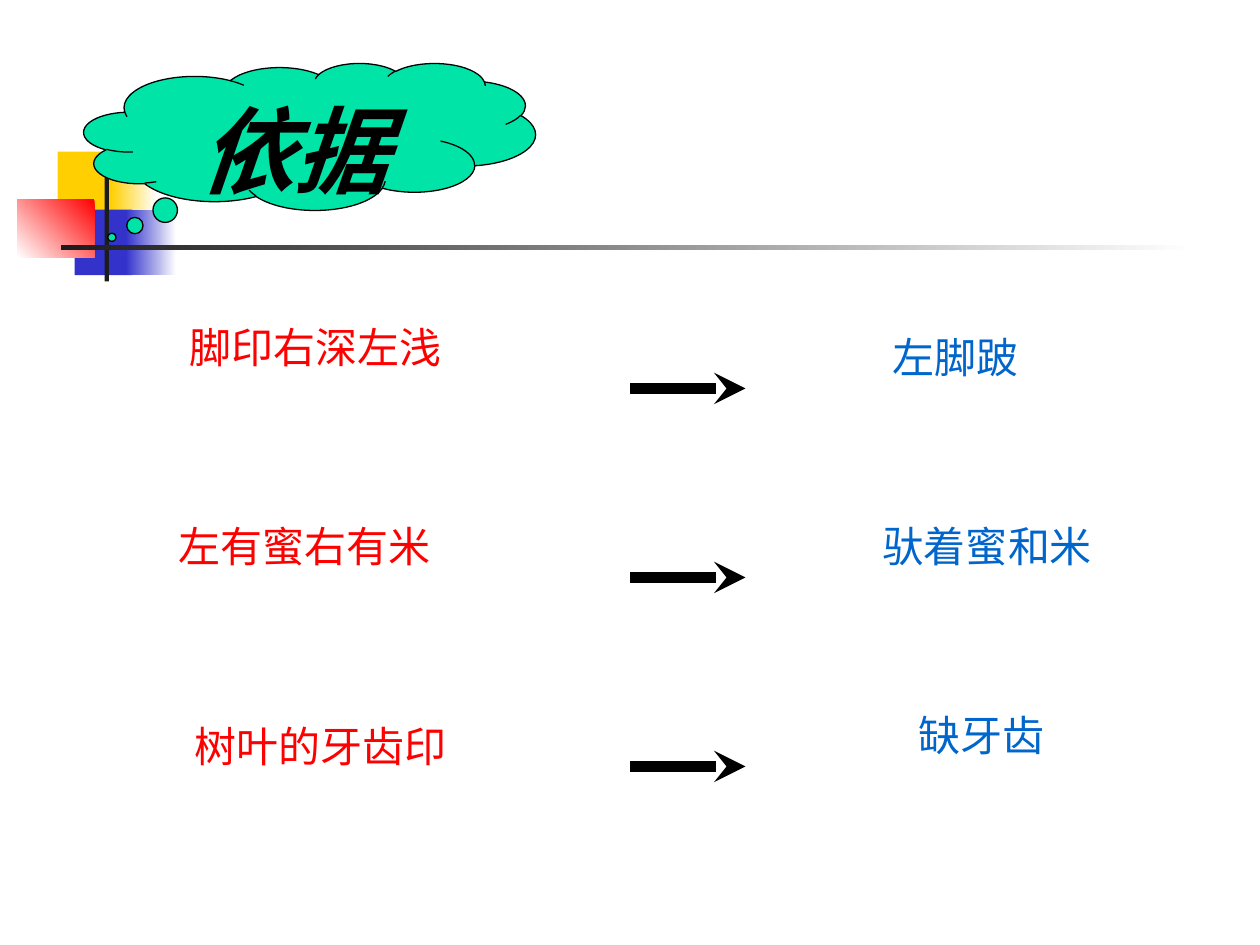
from dataclasses import dataclass

import pptx
import pptx.dml.color
import pptx.enum.shapes
import pptx.enum.text
import pptx.oxml
import pptx.oxml.ns
import pptx.slide
import pptx.text.text
import pptx.util
from lxml import etree

Pt = pptx.util.Pt
qn = pptx.oxml.ns.qn
SHAPES = pptx.enum.shapes.MSO_SHAPE
CENTER = pptx.enum.text.PP_ALIGN.CENTER

COLORS = {
    "white": "FFFFFF", "black": "000000", "charcoal": "1C1C1C",
    "yellow": "FFCF01", "indigo": "3333CC", "red": "FF0000",
    "mint": "00E4A8", "gray": "B2B2B2", "blue": "0066CC", "sky": "99CCFF",
}
HAN_FONT = "Noto Sans CJK SC"
TITLE_FONT = "Times New Roman"
ARROW_LEFT, ARROW_RIGHT = 360, 426
FIRST_ARROW_TOP, ROW_PITCH = 222, 108


@dataclass
class Block:
    """A decorative rectangle, fading to a second colour when one is given."""
    left: float
    top: float
    width: float
    height: float
    color: str
    end_color: str = ""
    angle: int = 180


@dataclass
class TextStyle:
    color: str
    outline: str
    outline_width: float
    opacity: int = 100


@dataclass
class Label:
    text: str
    left: float
    top: float
    width: float
    height: float


BLOCKS = [
    Block(33, 86.6, 34.5, 37.5, "yellow"),
    Block(63.4, 86.6, 26, 37.5, "white", "yellow"),
    Block(42.6, 119.8, 33, 37.5, "indigo"),
    Block(72, 119.8, 28.8, 37.5, "white", "indigo"),
    Block(10, 113.8, 44, 33.2, "red", "white", angle=225),
    Block(59.8, 78, 2.5, 82.8, "charcoal"),
    Block(34.8, 140.2, 648, 2.5, "white", "charcoal"),
]
CLUE_STYLE = TextStyle("gray", "red", 1, opacity=50)
CLUES = [
    Label("脚印右深左浅", 42, 180, 276, 78),
    Label("左有蜜右有米", 54, 294, 240, 83.5),
    Label("树叶的牙齿印", 54, 408, 258, 83.5),
]
FINDING_STYLE = TextStyle("blue", "sky", 1.5)
FINDINGS = [
    Label("左脚跛", 450, 186, 192, 71.3),
    Label("驮着蜜和米", 432, 294, 264, 66),
    Label("缺牙齿", 462, 402, 198, 66),
]


def rgb(name: str) -> pptx.dml.color.RGBColor:
    return pptx.dml.color.RGBColor.from_string(COLORS[name])


def set_font(run: pptx.text.text._Run, name: str, size: float, color: str) -> None:
    run.font.name = name
    run.font.size = Pt(size)
    run.font.color.rgb = rgb(color)
    east_asian = etree.SubElement(run.font._element, qn("a:ea"))
    east_asian.set("typeface", HAN_FONT)


def outline_text(run: pptx.text.text._Run, style: TextStyle) -> None:
    """Give the letters a coloured edge and, if asked, a translucent fill."""
    properties = run.font._element
    line = etree.Element(qn("a:ln"), w=str(Pt(style.outline_width)))
    fill = etree.SubElement(line, qn("a:solidFill"))
    etree.SubElement(fill, qn("a:srgbClr"), val=COLORS[style.outline])
    properties.insert(0, line)
    if style.opacity < 100:
        color = properties.find(qn("a:solidFill")).find(qn("a:srgbClr"))
        etree.SubElement(color, qn("a:alpha"), val=str(style.opacity * 1000))


def add_block(slide: pptx.slide.Slide, block: Block) -> None:
    shape = slide.shapes.add_shape(
        SHAPES.RECTANGLE, Pt(block.left), Pt(block.top), Pt(block.width), Pt(block.height))
    shape.shadow.inherit = False
    shape.line.fill.background()
    if block.end_color:
        shape.fill.gradient()
        shape.fill.gradient_angle = block.angle
        for stop, color in zip(shape.fill.gradient_stops, (block.color, block.end_color)):
            stop.color.rgb = rgb(color)
    else:
        shape.fill.solid()
        shape.fill.fore_color.rgb = rgb(block.color)


def add_title_cloud(slide: pptx.slide.Slide) -> None:
    cloud = slide.shapes.add_shape(SHAPES.CLOUD_CALLOUT, Pt(48), Pt(36), Pt(258), Pt(84))
    cloud.adjustments[0], cloud.adjustments[1] = -0.438, 0.686
    cloud.shadow.inherit = False
    cloud.fill.solid()
    cloud.fill.fore_color.rgb = rgb("mint")
    cloud.line.color.rgb = rgb("black")
    cloud.line.width = Pt(0.75)
    frame = cloud.text_frame
    frame.text = "依据"
    frame.vertical_anchor = pptx.enum.text.MSO_ANCHOR.TOP
    frame.margin_top = Pt(4)
    paragraph = frame.paragraphs[0]
    paragraph.alignment = CENTER
    run = paragraph.runs[0]
    set_font(run, TITLE_FONT, 54, "black")
    run.font.bold = run.font.italic = True


def add_label(slide: pptx.slide.Slide, label: Label, style: TextStyle) -> None:
    box = slide.shapes.add_textbox(
        Pt(label.left), Pt(label.top), Pt(label.width), Pt(label.height))
    box.text_frame.text = label.text
    box.text_frame.word_wrap = True
    paragraph = box.text_frame.paragraphs[0]
    paragraph.alignment = CENTER
    run = paragraph.runs[0]
    set_font(run, HAN_FONT, 24, style.color)
    outline_text(run, style)


def add_arrow(slide: pptx.slide.Slide, top: float) -> None:
    arrow = slide.shapes.add_connector(
        pptx.enum.shapes.MSO_CONNECTOR.STRAIGHT,
        Pt(ARROW_LEFT), Pt(top), Pt(ARROW_RIGHT), Pt(top))
    arrow.line.color.rgb = rgb("black")
    arrow.line.width = Pt(6)
    etree.SubElement(arrow.line._get_or_add_ln(), qn("a:tailEnd"), type="stealth")
    etree.SubElement(arrow._element.spPr, qn("a:effectLst"))


def main() -> None:
    presentation = pptx.Presentation()
    presentation.slide_width, presentation.slide_height = Pt(720), Pt(540)
    slide = presentation.slides.add_slide(presentation.slide_layouts[6])
    for block in BLOCKS:
        add_block(slide, block)
    add_title_cloud(slide)
    for clue in CLUES:
        add_label(slide, clue, CLUE_STYLE)
    for row in range(len(CLUES)):
        add_arrow(slide, FIRST_ARROW_TOP + row * ROW_PITCH)
    for finding in FINDINGS:
        add_label(slide, finding, FINDING_STYLE)
    presentation.save("out.pptx")


if __name__ == "__main__":
    main()
